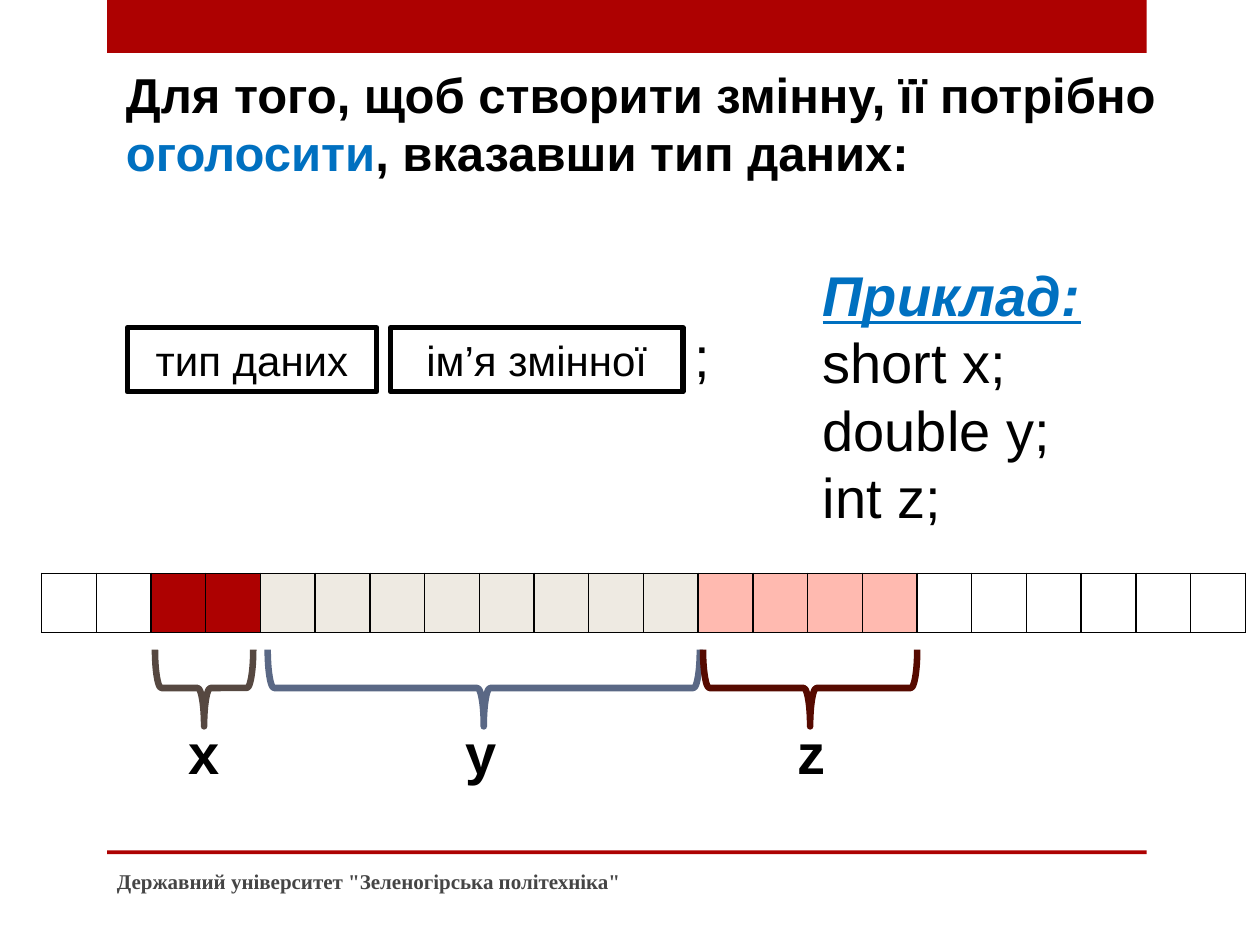
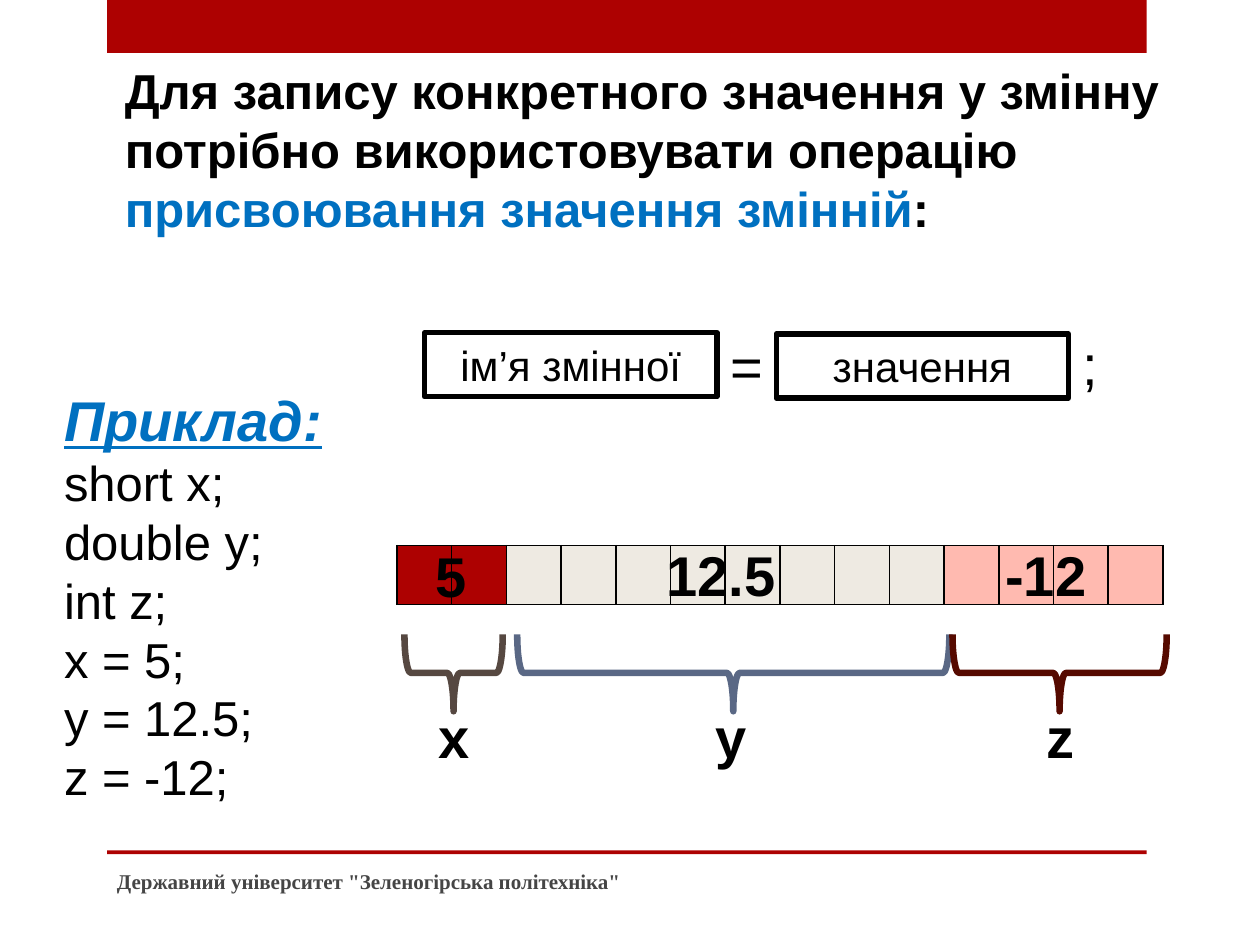
import pptx
import pptx.dml.color
import pptx.enum.shapes
import pptx.enum.text
import pptx.oxml
import pptx.oxml.ns
import pptx.util

Inches = pptx.util.Inches
Pt = pptx.util.Pt
RGBColor = pptx.dml.color.RGBColor
Shapes = pptx.enum.shapes.MSO_SHAPE
Anchor = pptx.enum.text.MSO_ANCHOR
Align = pptx.enum.text.PP_ALIGN

COLOURS = {
    "band": "AD0101", "text": "000000", "accent": "0070C0", "footer": "454545",
    "x": "AD0101", "y": "EEEAE2", "z": "FFBAB0",
    "brace_x": "564841", "brace_y": "5A6885", "brace_z": "560A00",
}
CELL_WIDTH, CELL_HEIGHT = 0.4345, 0.47
BRACE_DEPTH = 0.61

HEADING = {"size": Pt(28), "bold": True}
HEADING_ACCENT = HEADING | {"colour": "accent"}
BOX_LABEL = {"size": Pt(24)}
SIGN = {"size": Pt(32)}
STRONG = {"size": Pt(32), "bold": True}
EXAMPLE = STRONG | {"italic": True, "underline": True, "colour": "accent"}
FOOTER = {"size": Pt(12), "bold": True, "name": "Times New Roman", "colour": "footer"}

# Variable name, middle of its letter box, middle and length of its brace
BRACES = [("x", 1.65, 1.62, 0.78), ("y", 3.85, 3.84, 3.43), ("z", 6.48, 6.43, 1.7)]


def write(shape, paragraphs, anchor=Anchor.TOP, align=Align.LEFT):
    """Fill a shape with paragraphs, each a list of (text, format) runs."""
    frame = shape.text_frame
    frame.word_wrap = True
    frame.vertical_anchor = anchor
    for index, runs in enumerate(paragraphs):
        paragraph = frame.paragraphs[0] if index == 0 else frame.add_paragraph()
        paragraph.alignment = align
        for text, style in runs:
            run = paragraph.add_run()
            run.text = text
            values = {"name": "Arial", "colour": "text"} | style
            run.font.color.rgb = RGBColor.from_string(COLOURS[values.pop("colour")])
            for attribute, value in values.items():
                setattr(run.font, attribute, value)
    return frame


def add_shape(slide, kind, place, fill=None, line=None, weight=3):
    """Add a preset shape with a plain fill or a plain outline."""
    shape = slide.shapes.add_shape(kind, *map(Inches, place))
    shape.shadow.inherit = False
    if fill:
        shape.fill.solid()
        shape.fill.fore_color.rgb = RGBColor.from_string(COLOURS[fill])
    else:
        shape.fill.background()
    if line:
        shape.line.color.rgb = RGBColor.from_string(COLOURS[line])
        shape.line.width = Pt(weight)
    else:
        shape.line.fill.background()
    return shape


SLIDES = [
    {
        "title_place": (0.85, 0.46, 9.26, 1.04),
        "title": [("Для того, щоб створити змінну, її потрібно ", HEADING),
                  ("оголосити", HEADING_ACCENT),
                  (", вказавши тип даних:", HEADING)],
        "boxes": [("тип даних", (1.01, 2.6, 1.98, 0.51)),
                  ("ім’я змінної", (3.1, 2.6, 2.32, 0.51))],
        "labels": [(";", (5.41, 2.5, 0.41, 0.64), SIGN)],
        "example_place": (6.43, 2.02, 2.95, 2.26),
        "code_size": 32,
        "code": ["short x;", "double y;", "int z;"],
        "memory": (0.33, 4.55),
        "cells": "--" + "x" * 2 + "y" * 8 + "z" * 4 + "-" * 6,
        "brace_shift": (0, 0),
    },
    {
        "title_place": (0.84, 0.43, 8.69, 1.51),
        "title": [("Для запису конкретного значення у змінну потрібно "
                   "використовувати операцію ", HEADING),
                  ("присвоювання значення змінній", HEADING_ACCENT),
                  (":", HEADING)],
        "boxes": [("ім’я змінної", (3.37, 2.64, 2.32, 0.51)),
                  ("значення", (6.16, 2.65, 2.32, 0.51))],
        "labels": [("=", (5.7, 2.58, 0.47, 0.64), SIGN),
                   (";", (8.49, 2.57, 0.44, 0.64), SIGN),
                   ("5", (3.36, 4.25, 0.5, 0.64), STRONG),
                   ("12.5", (5.19, 4.24, 1.4, 0.64), STRONG),
                   ("-12", (7.88, 4.24, 1.4, 0.64), STRONG)],
        "example_place": (0.41, 3.01, 2.95, 3.47),
        "code_size": 28,
        "code": ["short x;", "double y;", "int z;", "x = 5;", "y = 12.5;", "z = -12;"],
        "memory": (3.15, 4.33),
        "cells": "x" * 2 + "y" * 8 + "z" * 4,
        "brace_shift": (1.98, -0.12),
    },
]

presentation = pptx.Presentation()
presentation.slide_width = Inches(10)
presentation.slide_height = Inches(7.5)

for content in SLIDES:
    slide = presentation.slides.add_slide(presentation.slide_layouts[6])

    # Bands, title and footer
    add_shape(slide, Shapes.RECTANGLE, (0.85, 0, 8.25, 0.42), fill="band")
    add_shape(slide, Shapes.RECTANGLE, (0.85, 6.75, 8.25, 0.03), fill="band")
    title = slide.shapes.add_textbox(*map(Inches, content["title_place"]))
    frame = write(title, [content["title"]])
    frame.margin_left = Inches(0.15)
    footer = slide.shapes.add_textbox(*map(Inches, (0.83, 6.79, 5.33, 0.4)))
    write(footer, [[('Державний університет "Зеленогірська політехніка"', FOOTER)]],
          anchor=Anchor.MIDDLE)

    # Syntax pattern and example code
    for text, place in content["boxes"]:
        box = add_shape(slide, Shapes.RECTANGLE, place, line="text")
        write(box, [[(text, BOX_LABEL)]], anchor=Anchor.MIDDLE, align=Align.CENTER)
    example = slide.shapes.add_textbox(*map(Inches, content["example_place"]))
    code_style = {"size": Pt(content["code_size"])}
    write(example, [[("Приклад:", EXAMPLE)]]
          + [[(line, code_style)] for line in content["code"]])

    # Memory cells
    cells = content["cells"]
    left, top = content["memory"]
    table = slide.shapes.add_table(
        1, len(cells), Inches(left), Inches(top),
        Inches(CELL_WIDTH * len(cells)), Inches(CELL_HEIGHT)).table
    table.first_row = False
    table.horz_banding = False
    for index, variable in enumerate(cells):
        table.columns[index].width = Inches(CELL_WIDTH)
        cell = table.cell(0, index)
        properties = cell._tc.get_or_add_tcPr()
        for side in ("lnL", "lnR", "lnT", "lnB"):
            properties.append(pptx.oxml.parse_xml(
                f'<a:{side} {pptx.oxml.ns.nsdecls("a")} w="{Pt(1)}"><a:solidFill>'
                f'<a:srgbClr val="{COLOURS["text"]}"/></a:solidFill></a:{side}>'))
        if variable in COLOURS:
            cell.fill.solid()
            cell.fill.fore_color.rgb = RGBColor.from_string(COLOURS[variable])
        else:
            cell.fill.background()

    # Braces under the cells, each turned to point down at its variable
    shift_x, shift_y = content["brace_shift"]
    labels = list(content["labels"])
    for name, letter_middle, brace_middle, length in BRACES:
        labels.append((name, (letter_middle - 0.25 + shift_x, 5.65 + shift_y, 0.5, 0.64),
                       STRONG))
        brace = add_shape(
            slide, Shapes.LEFT_BRACE,
            (brace_middle - BRACE_DEPTH / 2 + shift_x, 5.46 - length / 2 + shift_y,
             BRACE_DEPTH, length), line="brace_" + name, weight=3.75)
        brace.rotation = 270

    # Signs, stored values and variable names
    for text, place, style in labels:
        label = slide.shapes.add_textbox(*map(Inches, place))
        write(label, [[(text, style)]])

presentation.save("out.pptx")
